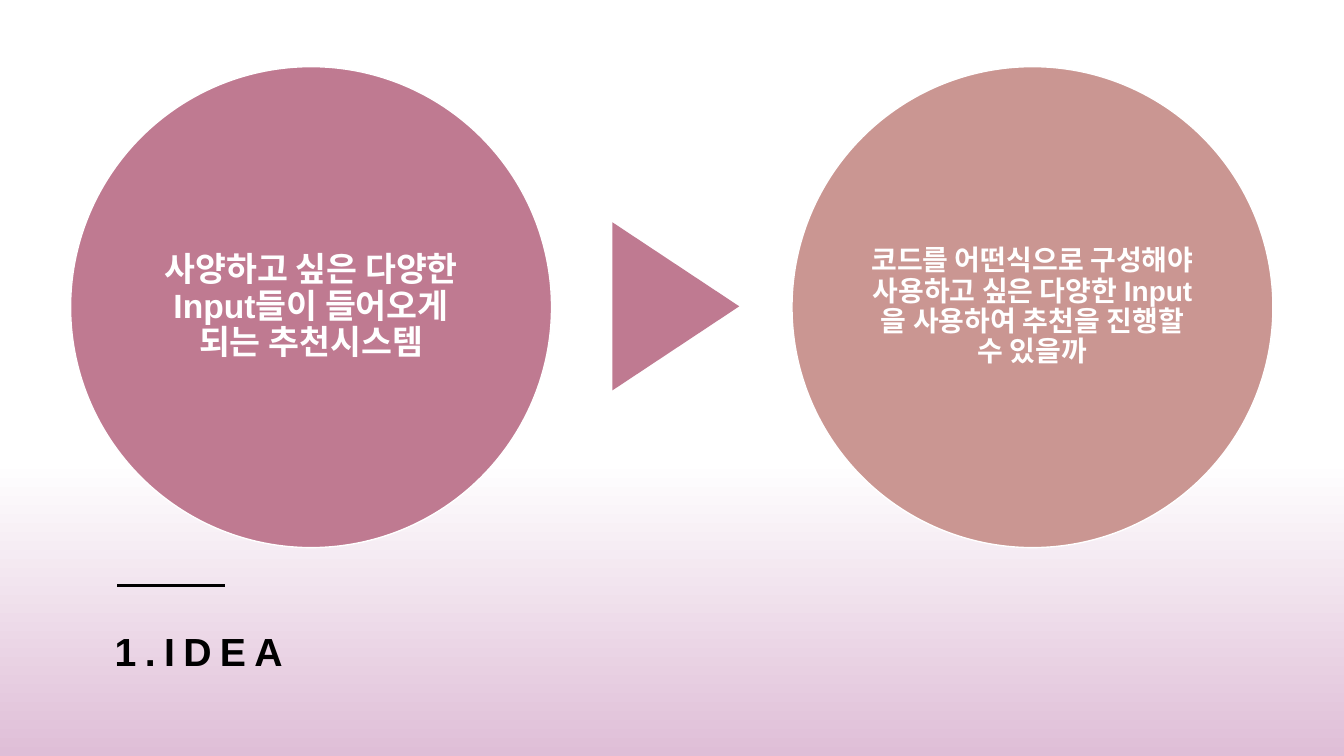
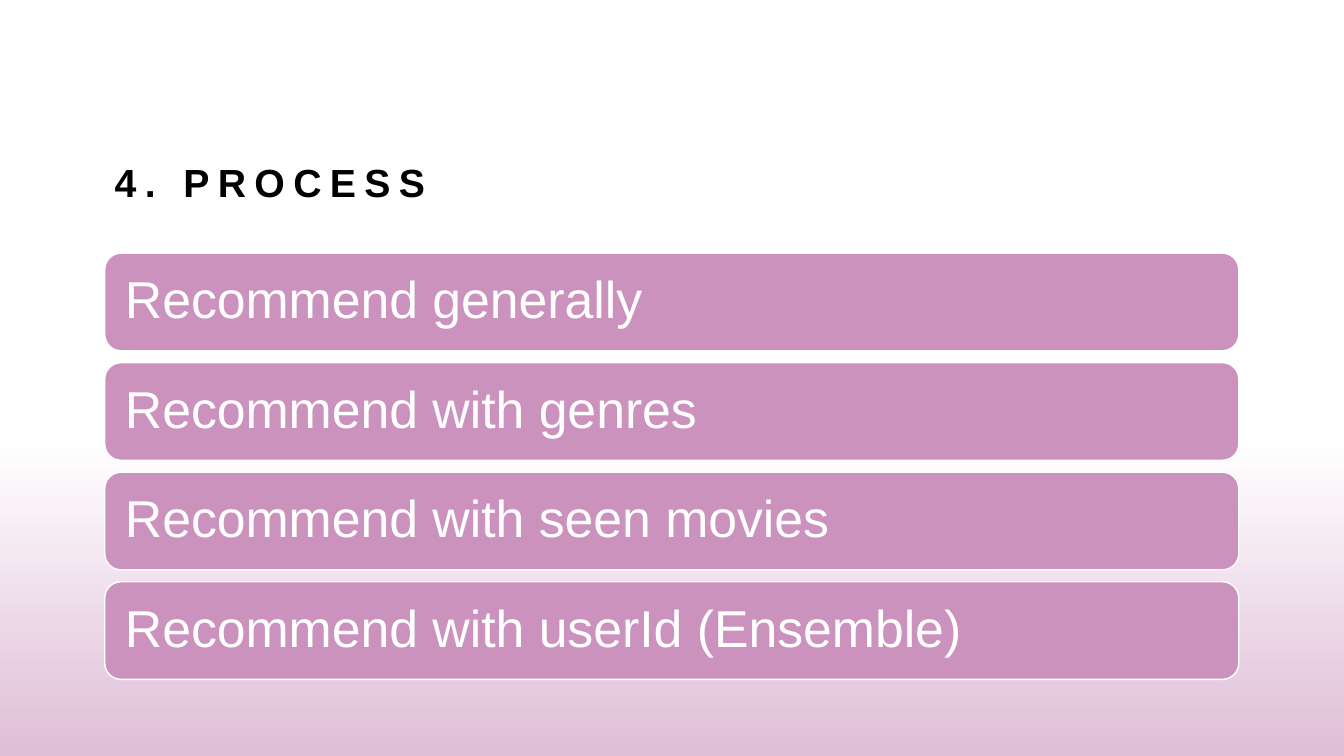
"""Build two slides: the idea behind a recommender and its process steps."""
from lxml import etree
from pptx import Presentation, util as u
from pptx.dml.color import RGBColor
from pptx.enum import shapes, text
from pptx.oxml.ns import qn

COLORS = {"white": "FFFFFF", "black": "000000", "band": "DFBED7",
          "rose": "BF7A91", "clay": "CA9692", "orchid": "CA92BD"}
FONT = "Arial"
WIDTH, HEIGHT = 33.87, 19.05
MARGIN = 2.64

SLIDES = [
    {"title": "1.IDEA", "box": (MARGIN, 15.44, 26.97, 2.46),
     "anchor": text.MSO_ANCHOR.TOP, "band_top": 10.39},
    {"title": "4. PROCESS", "box": (MARGIN, 2.11, 28.58, 3.2),
     "anchor": text.MSO_ANCHOR.BOTTOM, "band_top": 9.75},
]
IDEAS = [
    ("사양하고 싶은 다양한 Input들이 들어오게 되는 추천시스템", "rose", 24),
    ("코드를 어떤식으로 구성해야 사용하고 싶은 다양한 Input을 사용하여 추천을 진행할 수 있을까",
     "clay", 20),
]
STEPS = ["Recommend generally", "Recommend with genres",
         "Recommend with seen movies", "Recommend with userId (Ensemble)"]

CIRCLE = {"left": 1.78, "top": 1.68, "size": 12.12, "pitch": 18.18}
ARROW = (14.91, 6.12, 4.24, 3.2)
RULE = {"left": 2.95, "right": 5.66, "y": 14.76}
STEP = {"top": 6.38, "width": 28.58, "height": 2.46, "pitch": 2.76}


def rgb(name):
    return RGBColor.from_string(COLORS[name])


def cm(*lengths):
    return [u.Cm(n) for n in lengths]


def add_shape(s, kind, box, fill=None, outlined=False):
    sp = s.shapes.add_shape(kind, *cm(*box))
    sp.shadow.inherit = False
    if fill:
        sp.fill.solid()
        sp.fill.fore_color.rgb = rgb(fill)
    if outlined:
        sp.line.color.rgb = rgb("white")
        sp.line.width = u.Pt(1)
    else:
        sp.line.fill.background()
    return sp


def write(sp, words, size, color, bold, align, spacing, inset, anchor):
    tf = sp.text_frame
    frame = {"word_wrap": True, "auto_size": text.MSO_AUTO_SIZE.NONE,
             "vertical_anchor": anchor}
    for side in ("left", "right", "top", "bottom"):
        frame["margin_" + side] = u.Cm(inset[side in ("top", "bottom")])
    p = tf.paragraphs[0]
    r = p.add_run()
    r.text = words
    formats = [(tf, frame),
               (p, {"alignment": align, "line_spacing": spacing}),
               (r.font, {"name": FONT, "size": u.Pt(size), "bold": bold})]
    for target, values in formats:
        for name, value in values.items():
            setattr(target, name, value)
    r.font.color.rgb = rgb(color)
    return r


def add_band(s, top):
    sp = add_shape(s, shapes.MSO_SHAPE.RECTANGLE, (0, top, WIDTH, HEIGHT - top))
    sp.fill.gradient()
    sp.fill.gradient_angle = 270
    for stop, (position, color) in zip(sp.fill.gradient_stops,
                                       [(0.14, "white"), (1, "band")]):
        stop.position = position
        stop.color.rgb = rgb(color)
    s.shapes._spTree.insert(2, sp._element)


def add_slide(prs, title, box, anchor, band_top):
    s = prs.slides.add_slide(prs.slide_layouts[5])
    add_band(s, band_top)
    sp = s.shapes.title
    sp.left, sp.top, sp.width, sp.height = cm(*box)
    r = write(sp, title, 28, "black", True, text.PP_ALIGN.LEFT, 1.2,
              (0.25, 0.13), anchor)
    r.font._element.set("spc", "600")
    return s


def add_rule(s):
    line = s.shapes.add_connector(
        shapes.MSO_CONNECTOR.STRAIGHT,
        *cm(RULE["left"], RULE["y"], RULE["right"], RULE["y"]))
    line.line.color.rgb = rgb("black")
    line.line.width = u.Pt(2.5)
    etree.SubElement(line._element.spPr, qn("a:effectLst"))


def add_ideas(s):
    for i, (words, color, size) in enumerate(IDEAS):
        box = (CIRCLE["left"] + i * CIRCLE["pitch"], CIRCLE["top"],
               CIRCLE["size"], CIRCLE["size"])
        sp = add_shape(s, shapes.MSO_SHAPE.OVAL, box, color, True)
        write(sp, words, size, "white", True, text.PP_ALIGN.CENTER, 0.9,
              (0.08, 0.08), text.MSO_ANCHOR.MIDDLE)
    arrow = add_shape(s, shapes.MSO_SHAPE.ISOSCELES_TRIANGLE, ARROW, "rose")
    arrow.rotation = 90


def add_steps(s):
    for i, words in enumerate(STEPS):
        box = (MARGIN, STEP["top"] + i * STEP["pitch"],
               STEP["width"], STEP["height"])
        sp = add_shape(s, shapes.MSO_SHAPE.ROUNDED_RECTANGLE, box, "orchid", True)
        write(sp, words, 37, "white", False, text.PP_ALIGN.LEFT, 0.9,
              (0.39, 0.39), text.MSO_ANCHOR.MIDDLE)


prs = Presentation()
prs.slide_width, prs.slide_height = cm(WIDTH, HEIGHT)
idea, process = [add_slide(prs, **content) for content in SLIDES]
add_rule(idea)
add_ideas(idea)
add_steps(process)
prs.save("out.pptx")
